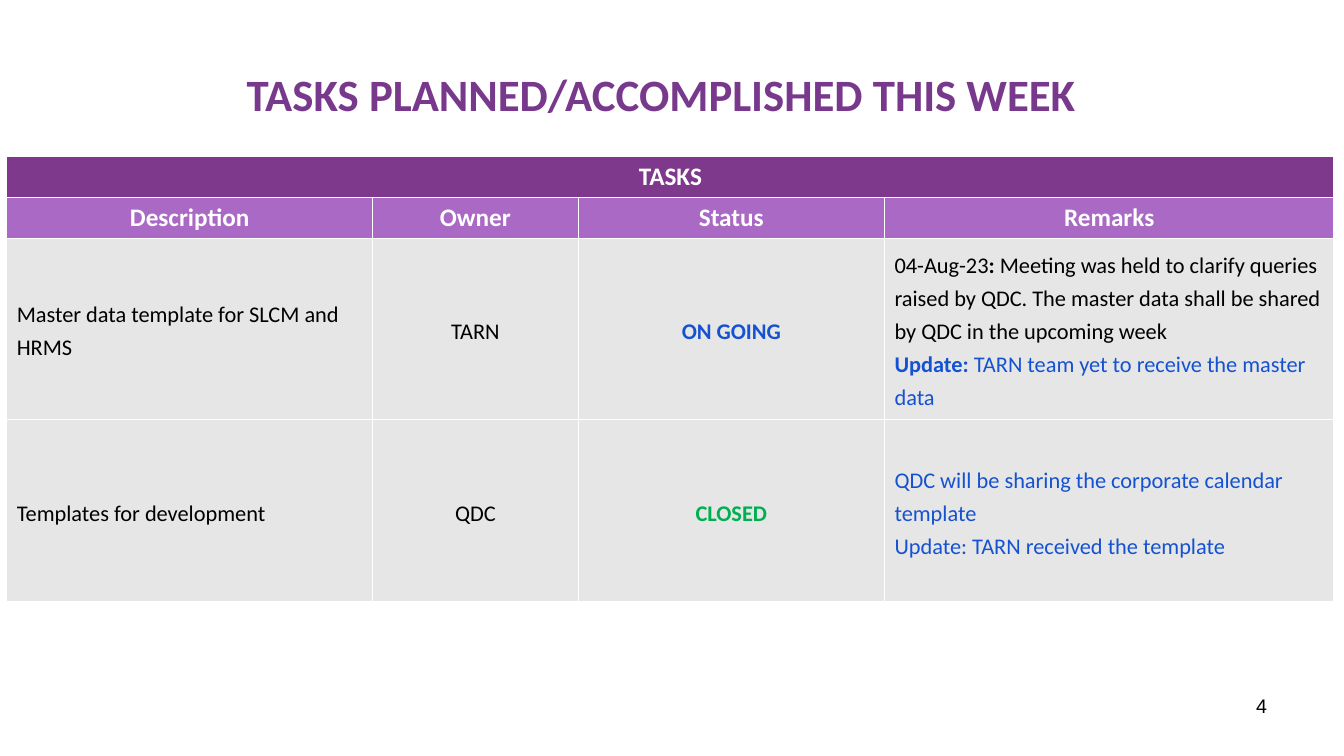
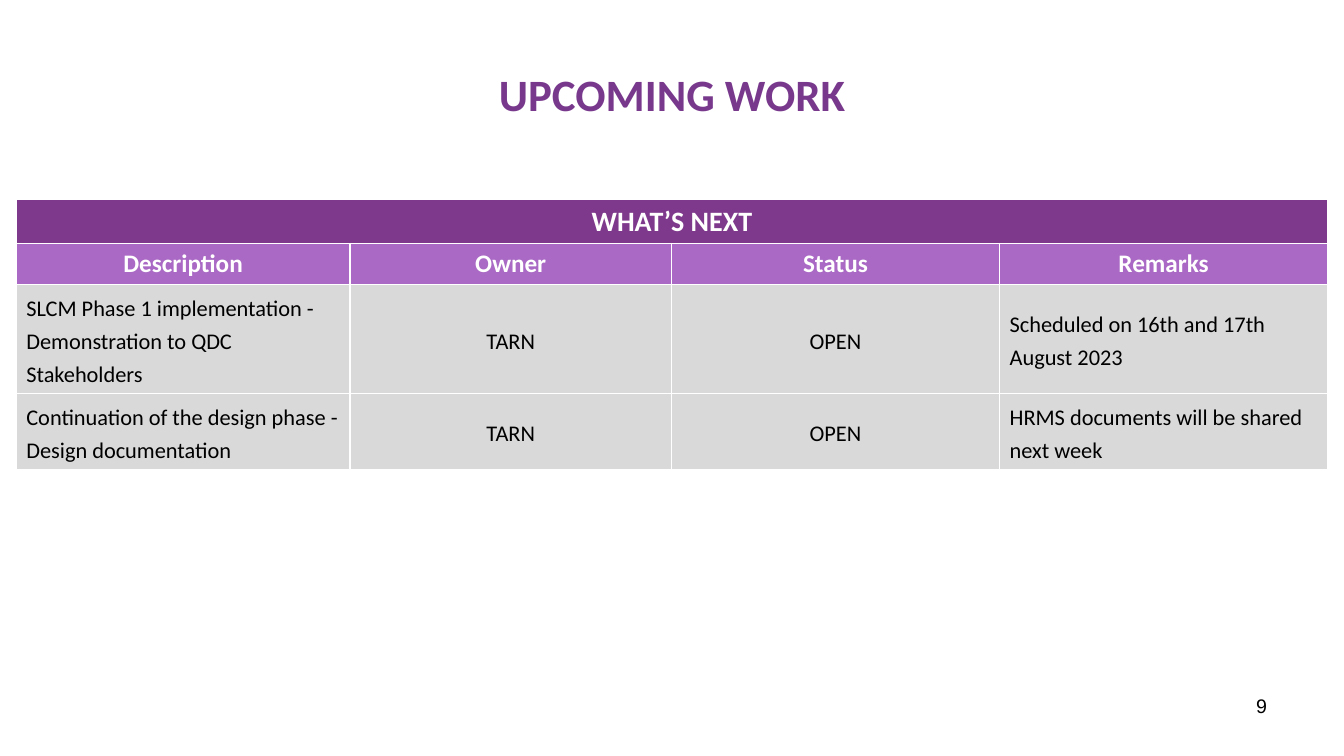
from dataclasses import dataclass

from lxml import etree
from pptx import Presentation
from pptx import util as u
from pptx.dml.color import RGBColor
from pptx.enum import text
from pptx.oxml import ns


@dataclass(frozen=True)
class Theme:
    title: str = "78398D"
    banner: str = "7F398C"
    heading: str = "A969C4"
    white: str = "FFFFFF"
    black: str = "000000"
    blue: str = "1552D1"
    green: str = "00B050"
    font: str = "Calibri"
    number_font: str = "Arial"
    title_size: int = 32
    heading_size: int = 18
    body_size: int = 16
    number_size: int = 14


theme = Theme()
LEFT, CENTER, RIGHT = text.PP_ALIGN.LEFT, text.PP_ALIGN.CENTER, text.PP_ALIGN.RIGHT


def write(frame, content, size, color=theme.black, bold=False, font=theme.font,
          align=LEFT, spacing=None):
    """Fill a text frame from a string or from paragraphs of (text, color, bold) spans."""
    paragraphs = [[(content, color, bold)]] if isinstance(content, str) else content
    for index, spans in enumerate(paragraphs):
        para = frame.add_paragraph() if index else frame.paragraphs[0]
        para.alignment = align
        para.line_spacing = spacing
        for words, span_color, span_bold in spans:
            span = para.add_run()
            span.text = words
            span.font.name = font
            span.font.size = u.Pt(size)
            span.font.bold = span_bold
            span.font.color.rgb = RGBColor.from_string(span_color)


def paint_cell(cell, fill):
    """Give a cell thin white borders and a solid fill."""
    properties = cell._tc.get_or_add_tcPr()
    for side in ("lnL", "lnR", "lnT", "lnB"):
        line = etree.SubElement(properties, ns.qn(f"a:{side}"), w=str(u.Pt(1)))
        solid = etree.SubElement(line, ns.qn("a:solidFill"))
        etree.SubElement(solid, ns.qn("a:srgbClr"), val=theme.white)
    cell.fill.solid()
    cell.fill.fore_color.rgb = RGBColor.from_string(fill)


headings = ["Description", "Owner", "Status", "Remarks"]

reports = [
    dict(
        title="TASKS PLANNED/ACCOMPLISHED THIS WEEK", title_left=1.43, number="4",
        banner="TASKS", banner_size=18, body_fill="E6E6E6",
        left=0.17, top=3.94,
        widths=[9.22, 5.18, 7.72, 11.33], heights=[1.03, 1.03, 4.58, 4.58],
        rows=[
            ["Master data template for SLCM and HRMS", "TARN",
             [[("ON GOING", theme.blue, True)]],
             [[("04-Aug-23", theme.black, False),
               (":", theme.black, True),
               (" Meeting was held to clarify queries raised by QDC. The master data "
                "shall be shared by QDC in the upcoming week", theme.black, False)],
              [("Update:", theme.blue, True),
               (" TARN team yet to receive the master data", theme.blue, False)]]],
            ["Templates for development", "QDC",
             [[("CLOSED", theme.green, True)]],
             [[("QDC will be sharing the corporate calendar template", theme.blue, False)],
              [("Update: TARN received the template", theme.blue, False)]]],
        ],
    ),
    dict(
        title="UPCOMING WORK", title_left=1.7, number="9",
        banner="WHAT’S NEXT", banner_size=20, body_fill="D9D9D9",
        left=0.41, top=5.03,
        widths=[8.41, 8.1, 8.27, 8.27], heights=[1.1, 1.03, 2.75, 1.92],
        rows=[
            ["SLCM Phase 1 implementation - Demonstration to QDC Stakeholders",
             "TARN", "OPEN", "Scheduled on 16th and 17th August 2023"],
            ["Continuation of the design phase - Design documentation",
             "TARN", "OPEN", "HRMS documents will be shared next week"],
        ],
    ),
]

deck = Presentation()
deck.slide_width, deck.slide_height = u.Cm(33.87), u.Cm(19.05)
title_only = deck.slide_layouts.get_by_name("Title Only")

for report in reports:
    slide = deck.slides.add_slide(title_only)

    title = slide.shapes.title
    title.left, title.top = u.Cm(report["title_left"]), u.Cm(0.76)
    title.width, title.height = u.Cm(30.48), u.Cm(3.18)
    title.text_frame.vertical_anchor = text.MSO_ANCHOR.MIDDLE
    write(title.text_frame, report["title"], theme.title_size, theme.title,
          bold=True, align=CENTER)

    number = slide.shapes.add_textbox(u.Cm(24.28), u.Cm(17.35), u.Cm(7.9), u.Cm(1.32))
    number.text_frame.word_wrap = True
    write(number.text_frame, report["number"], theme.number_size,
          font=theme.number_font, align=RIGHT)

    widths, heights = report["widths"], report["heights"]
    table = slide.shapes.add_table(
        len(heights), len(widths), u.Cm(report["left"]), u.Cm(report["top"]),
        u.Cm(sum(widths)), u.Cm(sum(heights))).table
    table.first_row = table.horz_banding = False
    for column, width in zip(table.columns, widths):
        column.width = u.Cm(width)
    for row, height in zip(table.rows, heights):
        row.height = u.Cm(height)

    fills = [theme.banner, theme.heading] + [report["body_fill"]] * len(report["rows"])
    for row, fill in zip(table.rows, fills):
        for cell in row.cells:
            paint_cell(cell, fill)

    banner = table.cell(0, 0)
    banner.merge(table.cell(0, len(widths) - 1))
    write(banner.text_frame, report["banner"], report["banner_size"], theme.white,
          bold=True, align=CENTER)
    for column, heading in enumerate(headings):
        write(table.cell(1, column).text_frame, heading, theme.heading_size,
              theme.white, bold=True, align=CENTER)

    for row, entries in enumerate(report["rows"], start=2):
        for column, entry in enumerate(entries):
            cell = table.cell(row, column)
            cell.vertical_anchor = text.MSO_ANCHOR.MIDDLE
            write(cell.text_frame, entry, theme.body_size, spacing=1.2,
                  align=CENTER if headings[column] in ("Owner", "Status") else LEFT)

deck.save("out.pptx")
